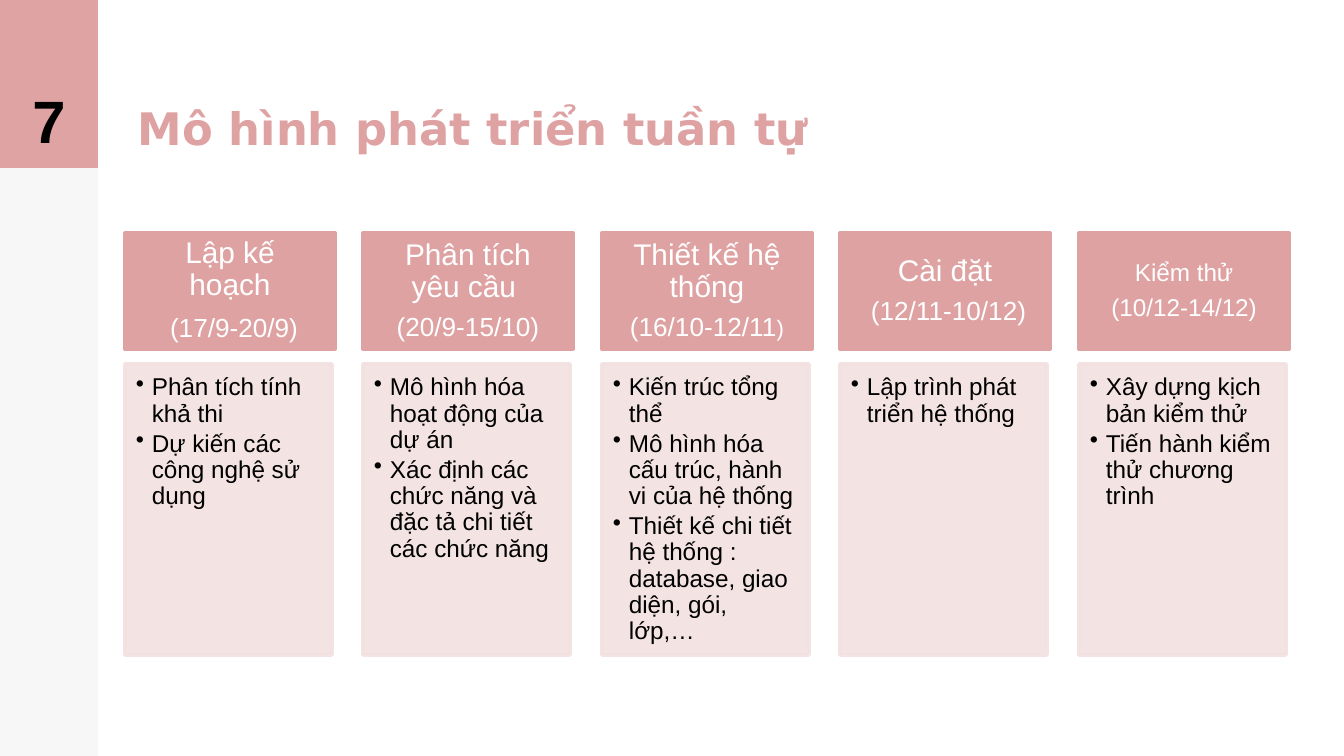
"""Builds the slide on the sequential development model, phase by phase."""
import pptx
import pptx.util
import pptx.dml.color
import pptx.enum.shapes
import pptx.enum.text
import pptx.oxml
import pptx.oxml.ns

COLORS = {"rose": "DFA2A3", "tab": "E0A3A3", "pale": "F3E0E0",
          "black": "000000", "white": "FFFFFF"}
TITLE = "Mô hình phát triển tuần tự"
NUMBER = "7"
PHASES = [
    ([[("Lập kế hoạch", 16)], [(" ", 16), ("(17/9-20/9)", 14)]],
     ["Phân tích tính khả thi", "Dự kiến các công nghệ sử dụng"]),
    ([[("Phân tích yêu cầu ", 16)], [("(20/9-15/10)", 14)]],
     ["Mô hình hóa hoạt động của dự án",
      "Xác định các chức năng và đặc tả chi tiết các chức năng"]),
    ([[("Thiết kế hệ thống", 16)], [("(16/10-12/11", 14), (")", 12)]],
     ["Kiến trúc tổng thể", "Mô hình hóa cấu trúc, hành vi của hệ thống",
      "Thiết kế chi tiết hệ thống : database, giao diện, gói, lớp,…"]),
    ([[("Cài đặt", 16)], [(" (12/11-10/12)", 14)]],
     ["Lập trình phát triển hệ thống"]),
    ([[("Kiểm thử", 13)], [("(10/12-14/12)", 13)]],
     ["Xây dựng kịch bản kiểm thử", "Tiến hành kiểm thử chương trình"]),
]
FIRST, LAST = 125, 1079
ALIGN = pptx.enum.text.PP_ALIGN
ANCHOR = pptx.enum.text.MSO_ANCHOR


def px(n):
    return round(n * 914400 / 134.4)


def rgb(name):
    return pptx.dml.color.RGBColor.from_string(COLORS[name])


def fade(shape, alpha):
    for color in shape._element.spPr.iter(pptx.oxml.ns.qn("a:srgbClr")):
        node = pptx.oxml.parse_xml(
            f'<a:alpha {pptx.oxml.ns.nsdecls("a")} val="{alpha * 1000}"/>')
        color.append(node)


def box(slide, x, y, w, h, fill, edge=False, alpha=100):
    kind = pptx.enum.shapes.MSO_SHAPE.RECTANGLE
    shape = slide.shapes.add_shape(kind, px(x), px(y), px(w), px(h))
    shape.shadow.inherit = False
    shape.fill.solid()
    shape.fill.fore_color.rgb = rgb(fill)
    if edge:
        shape.line.color.rgb = rgb(fill)
        shape.line.width = pptx.util.Pt(2)
    else:
        shape.line.fill.background()
    if alpha < 100:
        fade(shape, alpha)
    return shape


def bullet(para):
    props = para._p.get_or_add_pPr()
    props.set("marL", str(px(16)))
    props.set("indent", str(-px(16)))
    mark = f'<a:buChar {pptx.oxml.ns.nsdecls("a")} char="•"/>'
    props.append(pptx.oxml.parse_xml(mark))


def write(shape, paras, color="black", font="Arial", bold=False,
          align=ALIGN.LEFT, anchor=ANCHOR.BOTTOM, pad=(13, 13, 13, 13),
          lines=1.0, after=0, dots=False):
    frame = shape.text_frame
    frame.word_wrap = True
    frame.auto_size = pptx.enum.text.MSO_AUTO_SIZE.NONE
    frame.vertical_anchor = anchor
    (frame.margin_left, frame.margin_top,
     frame.margin_right, frame.margin_bottom) = map(px, pad)
    for i, runs in enumerate(paras):
        para = frame.add_paragraph() if i else frame.paragraphs[0]
        para.alignment = align
        para.line_spacing = lines
        para.space_after = pptx.util.Pt(after)
        if dots:
            bullet(para)
        for text, size in runs:
            run = para.add_run()
            run.text = text
            run.font.name = font
            run.font.size = pptx.util.Pt(size)
            run.font.bold = bold
            run.font.color.rgb = rgb(color)


def main():
    deck = pptx.Presentation()
    deck.slide_width, deck.slide_height = px(1344), px(756)
    slide = deck.slides.add_slide(deck.slide_layouts[5])

    title = slide.shapes.title
    title.left, title.top, title.width, title.height = map(px, (125, 0, 729, 168))
    write(title, [[(TITLE, 24)]], color="rose", font="DejaVu Sans", bold=True)

    box(slide, 0, 0, 98, 756, "black", alpha=3)
    tab = box(slide, 0, 0, 98, 168, "tab")
    write(tab, [[(NUMBER, 32)]], bold=True, align=ALIGN.CENTER)

    for i, (head, items) in enumerate(PHASES):
        x = FIRST + (LAST - FIRST) * i // (len(PHASES) - 1)
        top = box(slide, x, 233, 210, 116, "rose", edge=True)
        write(top, head, color="white", align=ALIGN.CENTER,
              anchor=ANCHOR.MIDDLE, pad=(16, 9, 16, 9), lines=0.9, after=5)
        body = box(slide, x, 364, 207, 291, "pale", edge=True, alpha=90)
        write(body, [[(item, 13)] for item in items], anchor=ANCHOR.TOP,
              pad=(11, 11, 13, 15), lines=0.9, after=2, dots=True)

    deck.save("out.pptx")


if __name__ == "__main__":
    main()
